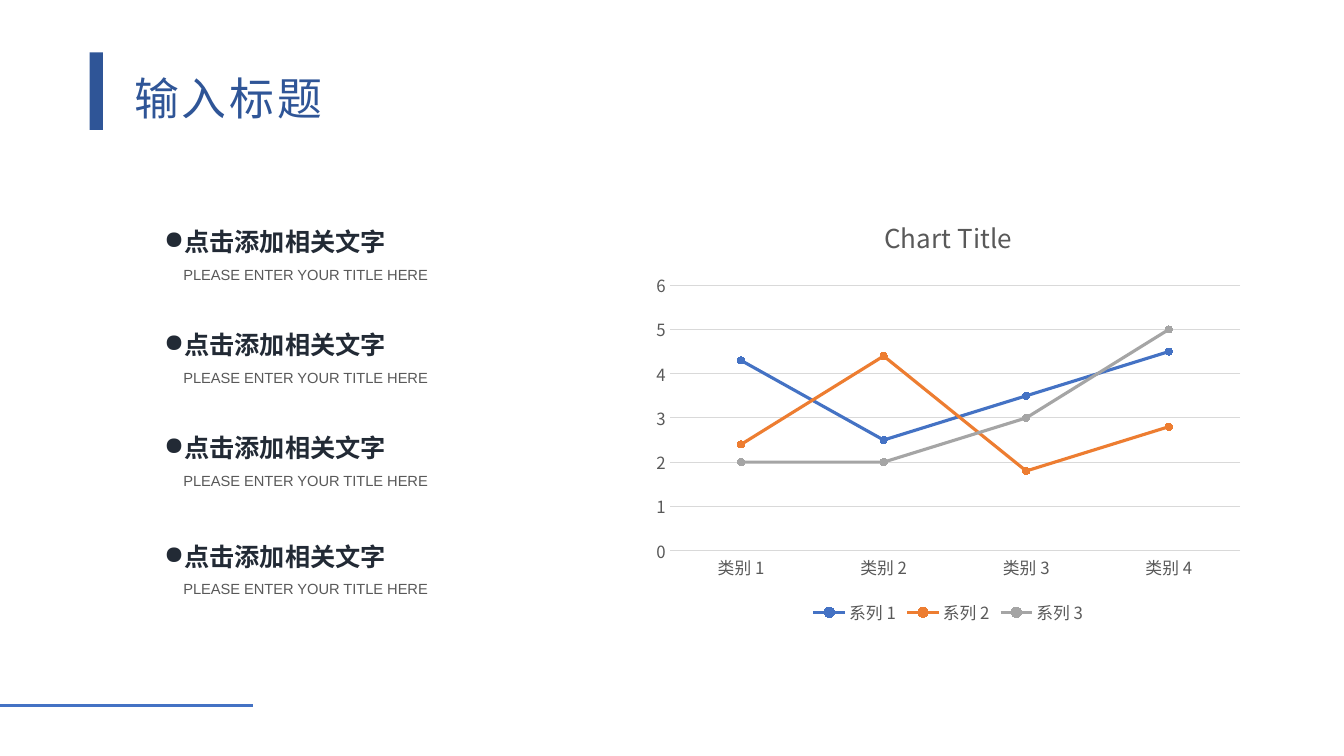
from lxml import etree
from pptx import Presentation
from pptx import util as u
from pptx.chart import data
from pptx.dml.color import RGBColor
from pptx.enum import chart as ch, shapes, text
from pptx.oxml.ns import qn

PX = 9144  # 100 px to the inch
SANS = "Noto Sans CJK SC"
NAVY, BLUE, GREY, RULE = "2F5597", "4472C4", "595959", "D9D9D9"


def px(n):
    return u.Emu(n * PX)


def hue(code):
    return RGBColor.from_string(code)


def style(font, size, color, name=SANS, bold=False):
    font.size, font.name, font.bold = u.Pt(size), name, bold
    font.color.rgb = hue(color)
    east = etree.Element(qn("a:ea"), typeface=SANS)
    font._rPr.find(qn("a:latin")).addnext(east)


def stroke(line, color, width):
    line.color.rgb = hue(color)
    line.width = u.Pt(width)


def header(slide, x, y, w, h):
    # Accent bar
    bar = slide.shapes.add_shape(
        shapes.MSO_SHAPE.RECTANGLE, px(x), px(y), px(13), px(h))
    bar.shadow.inherit = False
    bar.fill.solid()
    bar.fill.fore_color.rgb = hue(NAVY)
    bar.line.fill.background()
    # Title
    title = slide.shapes.title
    title.left, title.top = px(x + 34), px(y + 13)
    title.width, title.height = px(w - 34), px(h - 13)
    frame = title.text_frame
    frame.text = "输入标题"
    frame.word_wrap = False
    frame.auto_size = text.MSO_AUTO_SIZE.NONE
    frame.vertical_anchor = text.MSO_ANCHOR.MIDDLE
    para = frame.paragraphs[0]
    para.alignment = text.PP_ALIGN.LEFT
    style(para.font, 32, NAVY)
    para.font._rPr.set("spc", "200")


def point(slide, x, y, w, h):
    box = slide.shapes.add_textbox(px(x), px(y), px(w), px(h))
    frame = box.text_frame
    frame.word_wrap = True
    head, sub = frame.paragraphs[0], frame.add_paragraph()
    head.text, sub.text = "点击添加相关文字", "PLEASE ENTER YOUR TITLE HERE"
    for para, indent in ((head, -19), (sub, 0)):
        para.line_spacing = 1.5
        props = para._p.get_or_add_pPr()
        props.set("marL", str(px(19)))
        props.set("indent", str(px(indent)))
    etree.SubElement(head._p.pPr, qn("a:buChar"), char="●")
    style(head.font, 18, "222A35", "TeX Gyre Adventor", True)
    style(sub.font, 10.5, GREY, "Arial")


def graph(slide, x, y, w, h):
    table = data.CategoryChartData()
    table.categories = [f"类别 {n}" for n in range(1, 5)]
    rows = ((4.3, 2.5, 3.5, 4.5), (2.4, 4.4, 1.8, 2.8), (2, 2, 3, 5))
    for n, row in enumerate(rows, 1):
        table.add_series(f"系列 {n}", row)
    chart = slide.shapes.add_chart(
        ch.XL_CHART_TYPE.LINE_MARKERS, px(x), px(y), px(w), px(h), table).chart
    style(chart.font, 10, "000000")

    # Title and legend
    chart.has_title = True
    frame = chart.chart_title.text_frame
    frame.text = "Chart Title"
    style(frame.paragraphs[0].font, 18.6, GREY)
    chart.has_legend = True
    chart.legend.position = ch.XL_LEGEND_POSITION.BOTTOM
    chart.legend.include_in_layout = False
    style(chart.legend.font, 12, GREY)

    # Axes
    cats, vals = chart.category_axis, chart.value_axis
    for axis in (cats, vals):
        axis.major_tick_mark = axis.minor_tick_mark = ch.XL_TICK_MARK.NONE
        style(axis.tick_labels.font, 12, GREY)
    stroke(cats.format.line, RULE, 0.75)
    vals.format.line.fill.background()
    vals.has_major_gridlines = True
    stroke(vals.major_gridlines.format.line, RULE, 0.75)
    vals.minimum_scale, vals.maximum_scale, vals.major_unit = 0, 6, 1

    # Series
    plot = chart.plots[0]
    plot.vary_by_categories = False
    for line, color in zip(plot.series, (BLUE, "ED7D31", "A5A5A5")):
        line.smooth = False
        stroke(line.format.line, color, 2.25)
        mark = line.marker
        mark.style, mark.size = ch.XL_MARKER_STYLE.CIRCLE, 5
        mark.format.fill.solid()
        mark.format.fill.fore_color.rgb = hue(color)
        stroke(mark.format.line, color, 0.75)


def footer(slide, x, y, w):
    rule = slide.shapes.add_connector(
        shapes.MSO_CONNECTOR.STRAIGHT, px(x), px(y), px(x + w), px(y))
    stroke(rule.line, BLUE, 1.75)
    etree.SubElement(rule._element.spPr, qn("a:effectLst"))


def main():
    deck = Presentation()
    deck.slide_width, deck.slide_height = px(1333), px(750)
    slide = deck.slides.add_slide(deck.slide_layouts[5])
    header(slide, 89, 52, 264, 77)
    footer(slide, 0, 700, 251)
    graph(slide, 639, 195, 603, 429)
    for top in (205, 307, 409, 517):
        point(slide, 153, top, 458, 108)
    deck.save("out.pptx")


if __name__ == "__main__":
    main()
